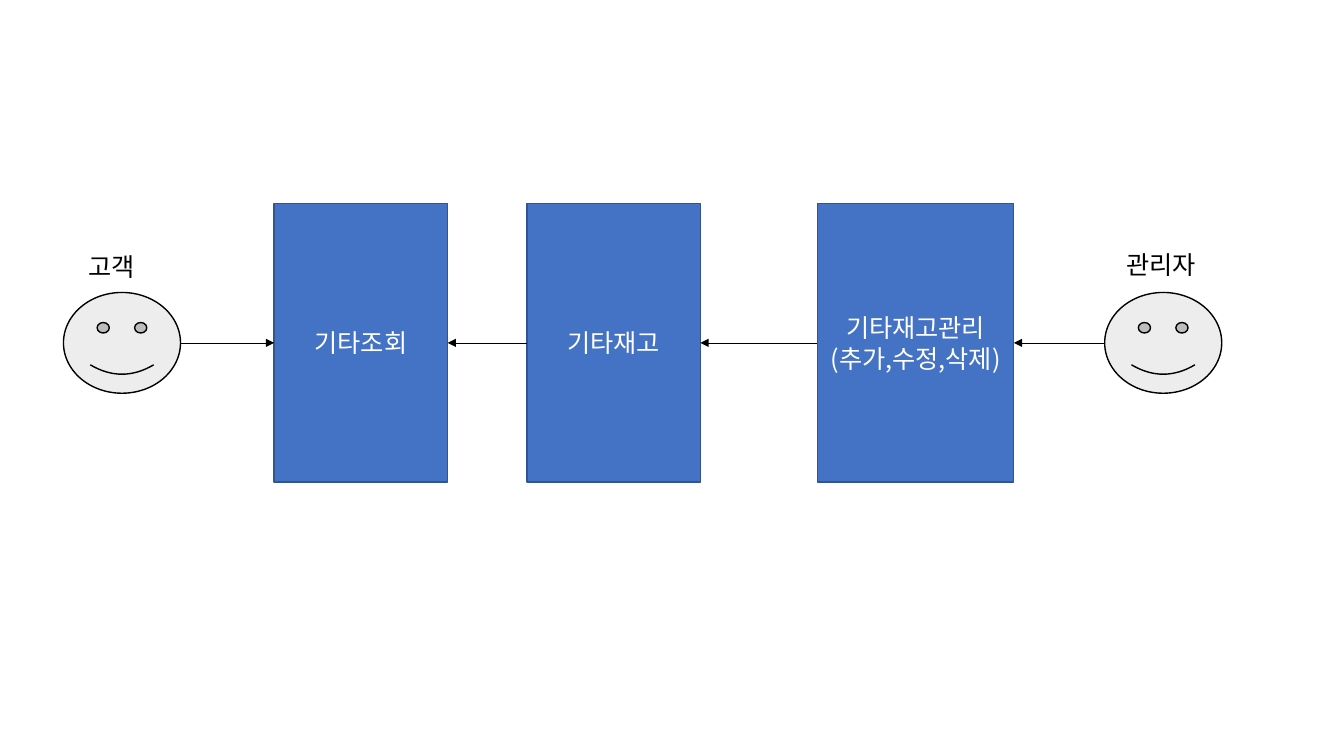
import pptx
import pptx.util
import pptx.dml.color
import pptx.enum.shapes
import pptx.enum.text
import pptx.oxml.ns
import lxml.etree

Cm, Pt = pptx.util.Cm, pptx.util.Pt
RGBColor = pptx.dml.color.RGBColor
Shape = pptx.enum.shapes.MSO_SHAPE
Align = pptx.enum.text.PP_ALIGN
qn = pptx.oxml.ns.qn

BLUE = RGBColor(0x44, 0x72, 0xC4)
DARK_BLUE = RGBColor(0x32, 0x54, 0x91)
GREY = RGBColor(0xED, 0xED, 0xED)
BLACK = RGBColor(0, 0, 0)
WHITE = RGBColor(255, 255, 255)
FONT = "Noto Sans CJK KR"

# Lengths in centimetres
AXIS = 8.64
FACE_WIDTH, FACE_HEIGHT = 2.95, 2.54
BOX_HEIGHT = 7.01
LABEL_WIDTH, LABEL_HEIGHT = 2.64, 1.02

# Name, face left, label left, label top
PEOPLE = [("고객", 1.6, 1.98, 6.22), ("관리자", 27.84, 28.14, 6.15)]
# Lines, left, width
PROCESSES = [
    (["기타조회"], 6.91, 4.37),
    (["기타재고"], 13.28, 4.37),
    (["기타재고관리", "(추가,수정,삭제)"], 20.6, 4.95),
]


def write(shape, lines, color, align):
    """Put one paragraph per line into a shape."""
    frame = shape.text_frame
    frame.word_wrap = True
    frame.text = "\n".join(lines)
    for para in frame.paragraphs:
        para.alignment = align
        for span in para.runs:
            for name, value in {"size": Pt(18), "name": FONT}.items():
                setattr(span.font, name, value)
            span.font.color.rgb = color
            properties = span.font._element
            properties.set("lang", "ko-KR")
            lxml.etree.SubElement(properties, qn("a:ea"), typeface=FONT)


def add_centred(page, kind, left, width, height, fill, line):
    """Add a filled shape centred on the horizontal axis."""
    shape = page.shapes.add_shape(
        kind, Cm(left), Cm(AXIS - height / 2), Cm(width), Cm(height))
    shape.shadow.inherit = False
    shape.fill.solid()
    shape.fill.fore_color.rgb = fill
    shape.line.color.rgb = line
    shape.line.width = Pt(1)
    return shape


def add_arrow(page, source, target):
    """Join the facing sides of two shapes with an arrow."""
    if source.left < target.left:
        start, end = source.left + source.width, target.left
    else:
        start, end = source.left, target.left + target.width
    arrow = page.shapes.add_connector(
        pptx.enum.shapes.MSO_CONNECTOR.STRAIGHT, start, Cm(AXIS), end, Cm(AXIS))
    arrow.line.color.rgb = BLACK
    arrow.line.width = Pt(0.5)
    outline = arrow._element.spPr.find(qn("a:ln"))
    lxml.etree.SubElement(outline, qn("a:tailEnd"), type="triangle")
    lxml.etree.SubElement(arrow._element.spPr, qn("a:effectLst"))


def build():
    """Draw the stock flow between customer and manager."""
    deck = pptx.Presentation()
    deck.slide_width, deck.slide_height = Cm(33.87), Cm(19.05)
    page = deck.slides.add_slide(deck.slide_layouts[6])

    faces = []
    for name, left, label_left, label_top in PEOPLE:
        faces.append(add_centred(page, Shape.SMILEY_FACE, left, FACE_WIDTH,
                                 FACE_HEIGHT, GREY, BLACK))
        label = page.shapes.add_textbox(
            Cm(label_left), Cm(label_top), Cm(LABEL_WIDTH), Cm(LABEL_HEIGHT))
        write(label, [name], BLACK, Align.LEFT)

    boxes = []
    for lines, left, width in PROCESSES:
        box = add_centred(page, Shape.RECTANGLE, left, width, BOX_HEIGHT, BLUE, DARK_BLUE)
        write(box, lines, WHITE, Align.CENTER)
        boxes.append(box)

    customer, manager = faces
    lookup, stock, control = boxes
    for source, target in [(customer, lookup), (stock, lookup),
                           (control, stock), (manager, control)]:
        add_arrow(page, source, target)
    deck.save("out.pptx")


build()
